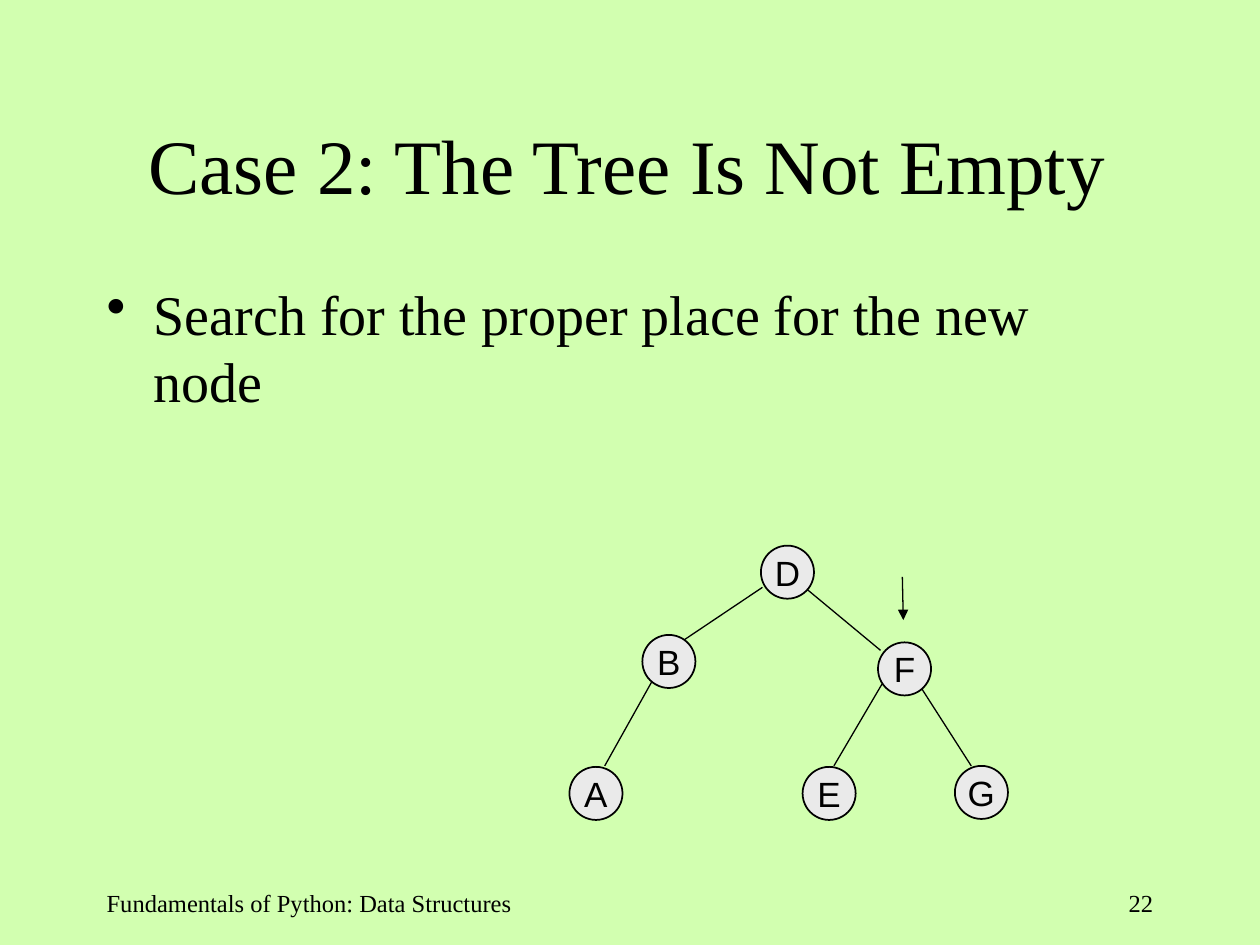
from pptx import Presentation
from pptx.dml.color import RGBColor
from pptx.enum.shapes import MSO_CONNECTOR, MSO_SHAPE
from pptx.enum.text import MSO_ANCHOR, MSO_AUTO_SIZE, PP_ALIGN
from pptx.oxml.ns import qn
from pptx.util import Cm, Pt
from lxml import etree

LEFT, CENTER, RIGHT = PP_ALIGN.LEFT, PP_ALIGN.CENTER, PP_ALIGN.RIGHT
TOP, MIDDLE = MSO_ANCHOR.TOP, MSO_ANCHOR.MIDDLE
ELLIPSE, STRAIGHT = MSO_SHAPE.OVAL, MSO_CONNECTOR.STRAIGHT
NO_FIT = MSO_AUTO_SIZE.NONE

BLACK = RGBColor(0x00, 0x00, 0x00)
GREEN = RGBColor(0xD2, 0xFF, 0xB0)
GREY = RGBColor(0xEA, 0xEA, 0xEA)
SERIF, SANS = "Times New Roman", "Arial"
NODE_SIZE = 1.07


def put_text(sp, text, size, font=SERIF, align=LEFT, anchor=TOP,
             wrap=True, right=0.25):
    tf = sp.text_frame
    tf.auto_size = NO_FIT
    tf.word_wrap = wrap
    tf.vertical_anchor = anchor
    tf.margin_left, tf.margin_right = Cm(0.25), Cm(right)
    tf.margin_top = tf.margin_bottom = Cm(0.13)
    p = tf.paragraphs[0]
    p.alignment = align
    r = p.add_run()
    r.text = text
    r.font.name, r.font.size = font, Pt(size)
    r.font.color.rgb = BLACK
    return p


class SlideBuilder:
    def __init__(self, prs):
        self.s = prs.slides.add_slide(prs.slide_layouts[5])
        self.s.background.fill.solid()
        self.s.background.fill.fore_color.rgb = GREEN

    def title(self, text, x, y, w, h):
        sp = self.s.shapes.title
        sp.left, sp.top, sp.width, sp.height = Cm(x), Cm(y), Cm(w), Cm(h)
        put_text(sp, text, 44, align=CENTER, anchor=MIDDLE, right=0.36)

    def text(self, text, x, y, w, h, **fmt):
        sp = self.s.shapes.add_textbox(Cm(x), Cm(y), Cm(w), Cm(h))
        return put_text(sp, text, **fmt)

    def bullet(self, text, x, y, w, h):
        p = self.text(text, x, y, w, h, size=32, right=0.36)
        p.space_before = Pt(8)
        pPr = p._p.get_or_add_pPr()
        pPr.set("marL", str(Cm(0.95)))
        pPr.set("indent", str(-Cm(0.95)))
        etree.SubElement(pPr, qn("a:buChar")).set("char", "•")

    def line(self, x1, y1, x2, y2, arrow=False):
        c = self.s.shapes.add_connector(STRAIGHT, Cm(x1), Cm(y1), Cm(x2), Cm(y2))
        c.line.color.rgb = BLACK
        c.line.width = Pt(0.75)
        if arrow:
            ln = c.line._get_or_add_ln()
            etree.SubElement(ln, qn("a:tailEnd")).set("type", "triangle")
        etree.SubElement(c._element.spPr, qn("a:effectLst"))

    def node(self, label, x, y):
        sp = self.s.shapes.add_shape(ELLIPSE, Cm(x), Cm(y),
                                     Cm(NODE_SIZE), Cm(NODE_SIZE))
        sp.shadow.inherit = False
        sp.fill.solid()
        sp.fill.fore_color.rgb = GREY
        sp.line.color.rgb = BLACK
        sp.line.width = Pt(1)
        put_text(sp, label, 20, font=SANS, align=CENTER, anchor=MIDDLE, wrap=False)


def main():
    prs = Presentation()
    prs.slide_width, prs.slide_height = Cm(25.4), Cm(19.05)
    slide = SlideBuilder(prs)

    # Title and body
    slide.title("Case 2: The Tree Is Not Empty", 1.9, 1.7, 21.6, 3.18)
    slide.bullet("Search for the proper place for the new node",
                 1.9, 5.51, 21.6, 11.43)

    # Tree edges, parent to child
    edges = [
        (15.37, 11.84, 13.79, 12.9),   # D-B
        (16.28, 11.89, 17.75, 13.11),  # D-F
        (13.18, 13.67, 12.19, 15.44),  # B-A
        (17.78, 13.79, 16.81, 15.44),  # F-E
        (18.49, 13.74, 19.58, 15.44),  # F-G
    ]
    for edge in edges:
        slide.line(*edge)

    # Pointer to the current node
    slide.line(18.19, 11.63, 18.21, 12.5, arrow=True)

    # Tree nodes
    nodes = {"D": (15.34, 11), "B": (12.95, 12.8), "F": (17.7, 12.95),
             "A": (11.48, 15.46), "E": (16.18, 15.46), "G": (19.25, 15.44)}
    for label, place in nodes.items():
        slide.node(label, *place)

    # Footer
    slide.text("Fundamentals of Python: Data Structures",
               1.9, 17.78, 9.73, 1.27, size=14)
    slide.text("22", 18.21, 17.78, 5.29, 1.27, size=14, align=RIGHT)

    prs.save("out.pptx")


if __name__ == "__main__":
    main()
